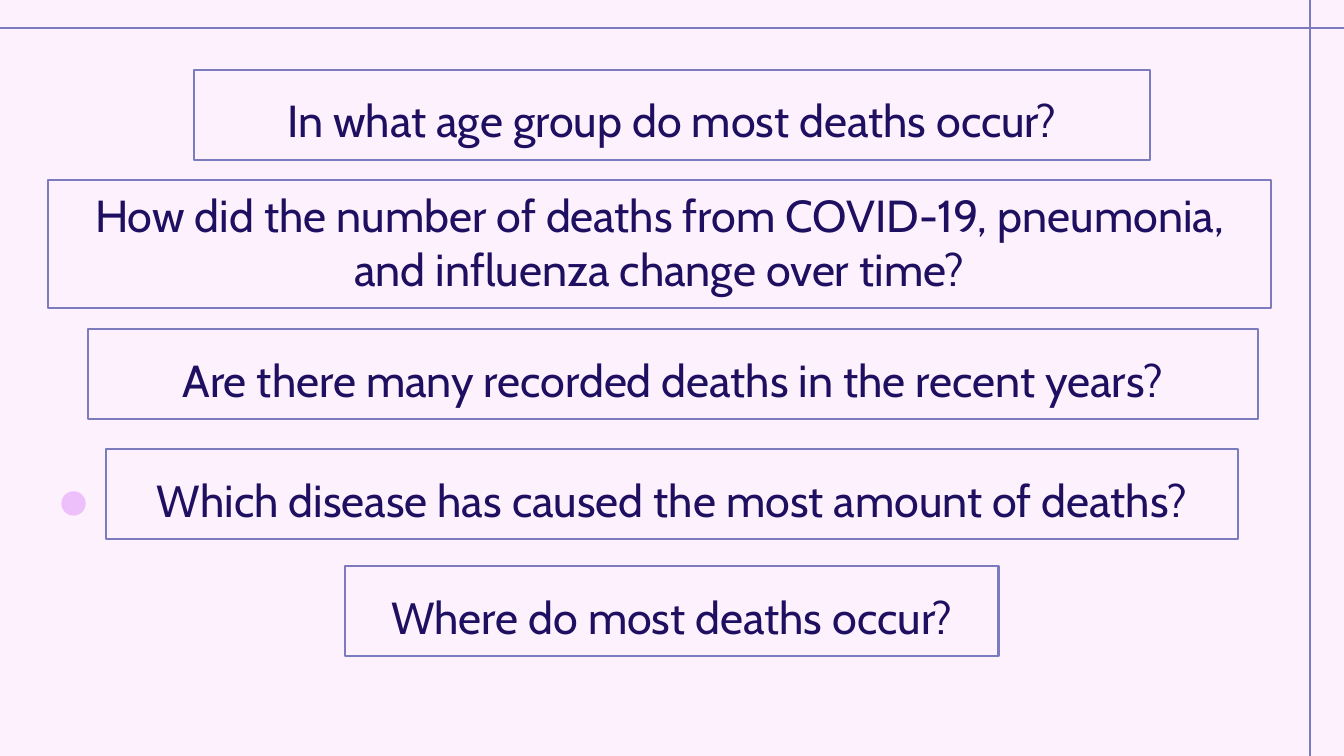
from pptx import Presentation
from pptx.dml.color import RGBColor
from pptx.enum.shapes import MSO_CONNECTOR as Connector, MSO_SHAPE as Preset
from pptx.enum.text import MSO_ANCHOR as Anchor, MSO_AUTO_SIZE as AutoSize, PP_ALIGN as Align
from pptx.oxml.ns import qn
from pptx.util import Pt
from lxml.etree import SubElement

EMU_PER_PX = 914400 / 134.4
TITLE_ONLY = 5


def px(length):
    return round(length * EMU_PER_PX)


def color(value):
    return RGBColor.from_string(value)


class SlideBuilder:
    font = "Cabin"
    text_size = 24
    line_width = 1.5
    background = "FCF1FC"
    ink = "1F0F61"
    outline = "7B7BBE"
    accent = "EEC0FB"
    inset = 13

    def __init__(self, slide):
        self.slide = slide
        fill = slide.background.fill
        fill.solid()
        fill.fore_color.rgb = color(self.background)

    def rule(self, x1, y1, x2, y2):
        line = self.slide.shapes.add_connector(
            Connector.STRAIGHT, px(x1), px(y1), px(x2), px(y2))
        line.line.color.rgb = color(self.outline)
        line.line.width = Pt(self.line_width)
        SubElement(line._element.spPr, qn("a:effectLst"))

    def dot(self, left, top, size):
        shape = self.slide.shapes.add_shape(
            Preset.OVAL, px(left), px(top), px(size), px(size))
        shape.shadow.inherit = False
        shape.fill.solid()
        shape.fill.fore_color.rgb = color(self.accent)
        shape.line.color.rgb = color(self.accent)
        shape.line.width = Pt(0.75)

    def title(self, text, *bounds):
        self.format_question(self.slide.shapes.title, text, bounds)

    def question(self, text, *bounds):
        shape = self.slide.shapes.add_textbox(0, 0, 0, 0)
        self.format_question(shape, text, bounds)

    def format_question(self, shape, text, bounds):
        shape.left, shape.top, shape.width, shape.height = map(px, bounds)
        shape.fill.background()
        shape.line.color.rgb = color(self.outline)
        shape.line.width = Pt(self.line_width)
        frame = shape.text_frame
        frame.text = text
        frame.word_wrap = True
        frame.auto_size = AutoSize.NONE
        frame.vertical_anchor = Anchor.BOTTOM
        frame.margin_left = frame.margin_right = px(self.inset)
        frame.margin_top = frame.margin_bottom = px(self.inset)
        paragraph = frame.paragraphs[0]
        paragraph.alignment = Align.CENTER
        paragraph.font.name = self.font
        paragraph.font.size = Pt(self.text_size)
        paragraph.font.color.rgb = color(self.ink)


def main():
    presentation = Presentation()
    presentation.slide_width = px(1344)
    presentation.slide_height = px(756)
    layout = presentation.slide_layouts[TITLE_ONLY]
    builder = SlideBuilder(presentation.slides.add_slide(layout))

    builder.rule(1310, 756, 1310, 0)
    builder.rule(0, 28, 1344, 28)
    builder.dot(62, 492, 23)

    builder.title("In what age group do most deaths occur?", 194, 70, 956, 90)
    questions = [
        ("How did the number of deaths from COVID-19, pneumonia, "
         "and influenza change over time?", 48, 180, 1223, 128),
        ("Are there many recorded deaths in the recent years?", 88, 329, 1170, 90),
        ("Which disease has caused the most amount of deaths?", 106, 449, 1132, 90),
        ("Where do most deaths occur?", 345, 566, 654, 90),
    ]
    for text, *bounds in questions:
        builder.question(text, *bounds)

    presentation.save("out.pptx")


if __name__ == "__main__":
    main()
